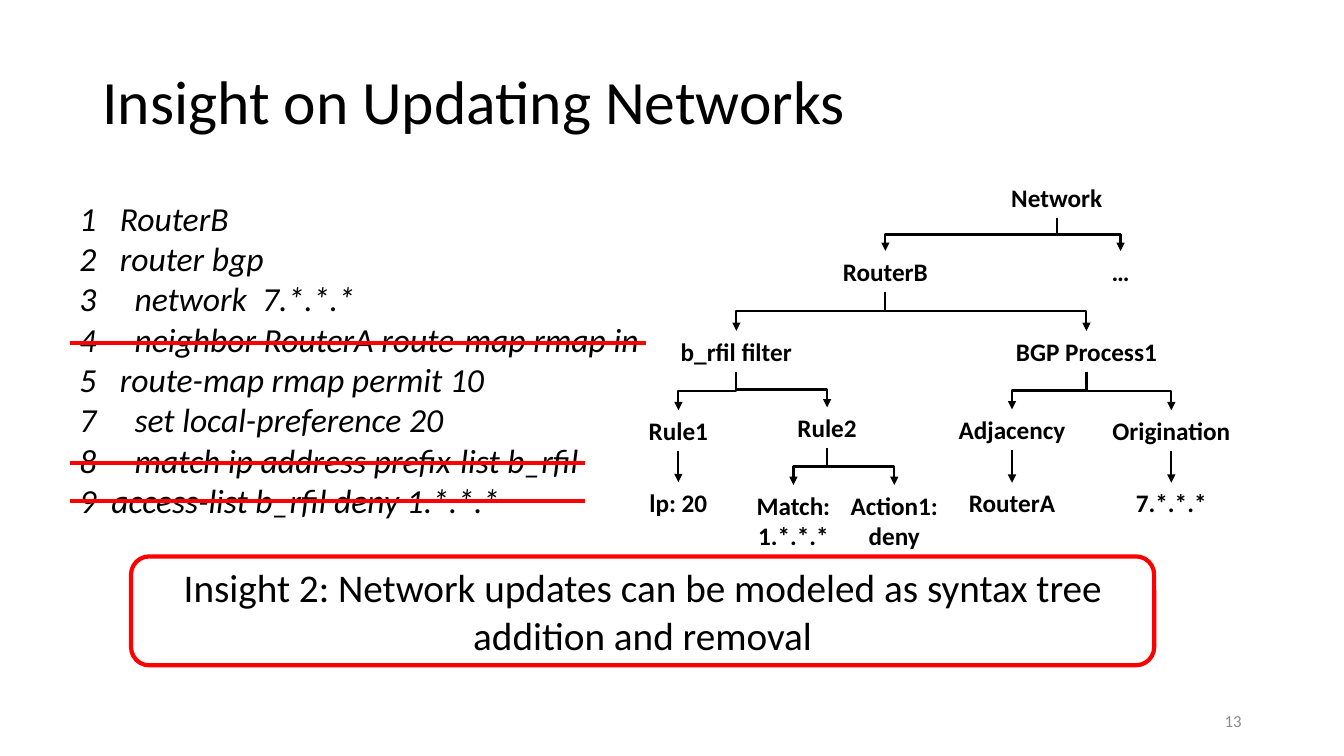
from dataclasses import dataclass

from lxml.etree import SubElement
from pptx import Presentation
from pptx.dml.color import RGBColor
from pptx.enum.shapes import MSO_CONNECTOR, MSO_SHAPE
from pptx.enum.text import MSO_ANCHOR, PP_ALIGN
from pptx.oxml.ns import qn
from pptx.util import Inches, Pt


@dataclass(frozen=True)
class Theme:
    font: str = "Calibri"
    ink: str = "000000"
    muted: str = "8C8C8C"
    accent: str = "FF0000"
    paper: str = "FFFFFF"
    title: int = 44
    insight: int = 28
    code: int = 24
    node: int = 18
    number: int = 12
    thin: float = 1.5
    thick: float = 3


class SlideBuilder:
    """Draws on one slide; all lengths are columns and rows of an 80 x 45 grid."""

    columns, rows = 80, 45

    def __init__(self, deck, theme):
        self.theme = theme
        self.page = deck.slides.add_slide(deck.slide_layouts[6])
        self.column = deck.slide_width / self.columns
        self.row = deck.slide_height / self.rows

    def across(self, columns):
        return round(columns * self.column)

    def down(self, rows):
        return round(rows * self.row)

    def area(self, left, top, width, height):
        return self.across(left), self.down(top), self.across(width), self.down(height)

    def fill_text(self, frame, lines, size, color=None, align=PP_ALIGN.LEFT,
                  anchor=MSO_ANCHOR.TOP, bold=False, italic=False):
        frame.word_wrap = True
        frame.vertical_anchor = anchor
        for index, line in enumerate(lines):
            para = frame.add_paragraph() if index else frame.paragraphs[0]
            para.text = line
            para.alignment = align
            font = para.font
            font.name, font.size = self.theme.font, Pt(size)
            font.bold, font.italic = bold, italic
            font.color.rgb = RGBColor.from_string(color or self.theme.ink)
        return frame.paragraphs

    def text(self, area, lines, size, **style):
        box = self.page.shapes.add_textbox(*self.area(*area))
        return self.fill_text(box.text_frame, lines, size, **style)

    def code(self, area, lines):
        """Numbered lines, each with its own hanging indent in columns."""
        texts = [f"{number}\t{text}" for number, _, text in lines]
        paras = self.text(area, texts, self.theme.code, italic=True)
        for para, (_, indent, _) in zip(paras, lines):
            properties = para._p.get_or_add_pPr()
            properties.set("marL", str(self.across(indent)))
            properties.set("indent", str(-self.across(indent)))

    def connector(self, kind, ends, color, width):
        line = self.page.shapes.add_connector(kind, *ends)
        line.line.color.rgb = RGBColor.from_string(color)
        line.line.width = Pt(width)
        SubElement(line._element.spPr, qn("a:effectLst"))
        return line

    def strike(self, left, right, row):
        ends = self.across(left), self.down(row), self.across(right), self.down(row)
        self.connector(MSO_CONNECTOR.STRAIGHT, ends, self.theme.accent, self.theme.thick)

    def branch(self, start, end):
        """Arrow that leaves downwards, bends half way and arrives downwards."""
        x1, y1 = self.across(start[0]), self.down(start[1])
        x2, y2 = self.across(end[0]), self.down(end[1])
        kind, ends = MSO_CONNECTOR.STRAIGHT, (x1, y1, x2, y2)
        if x1 != x2:
            # The elbow is laid out sideways around its centre, then turned.
            kind = MSO_CONNECTOR.ELBOW
            length, spread = y2 - y1, abs(x2 - x1)
            left = (x1 + x2 - length) // 2
            top = (y1 + y2 - spread) // 2
            ends = left, top, left + length, top + spread
        arrow = self.connector(kind, ends, self.theme.ink, self.theme.thin)
        if x1 != x2:
            frame = arrow._element.spPr.find(qn("a:xfrm"))
            frame.set("rot", str((90 if x2 < x1 else 270) * 60000))
            if x2 > x1:
                frame.set("flipH", "1")
        outline = arrow._element.spPr.find(qn("a:ln"))
        SubElement(outline, qn("a:tailEnd"), type="triangle")

    def callout(self, area, text):
        box = self.page.shapes.add_shape(MSO_SHAPE.ROUNDED_RECTANGLE, *self.area(*area))
        box.shadow.inherit = False
        box.fill.solid()
        box.fill.fore_color.rgb = RGBColor.from_string(self.theme.paper)
        box.line.color.rgb = RGBColor.from_string(self.theme.accent)
        box.line.width = Pt(self.theme.thick)
        self.fill_text(box.text_frame, [text], self.theme.insight,
                       align=PP_ALIGN.CENTER, anchor=MSO_ANCHOR.MIDDLE)


# Line number, hanging indent, text
CONFIG = [
    (1, 2.4, "RouterB"),
    (2, 2.4, "router bgp"),
    (3, 3.28, "network  7.*.*.*"),
    (4, 3.28, "neighbor RouterA route-map rmap in"),
    (5, 2.4, "route-map rmap permit 10"),
    (7, 3.28, "set local-preference 20"),
    (8, 3.28, "match ip address prefix-list b_rfil"),
    (9, 1.9, "access-list b_rfil deny 1.*.*.*"),
]
# Right end and row of each strike
STRIKES = [(38.46, 20.4), (34.8, 27.54), (34.8, 29.82)]
# Node: parent, centre column, top row, width, lines
TREE = {
    "network": (None, 62.9, 10.56, 9, ["Network"]),
    "router": ("network", 52.7, 14.94, 8, ["RouterB"]),
    "others": ("network", 66.7, 14.94, 8, ["…"]),
    "filter": ("router", 43.83, 19.7, 9.3, ["b_rfil filter"]),
    "process": ("router", 64.67, 19.7, 11.2, ["BGP Process1"]),
    "rule1": ("filter", 40.38, 24.42, 6.5, ["Rule1"]),
    "rule2": ("filter", 49.23, 24.25, 7.6, ["Rule2"]),
    "adjacency": ("process", 60.24, 24.37, 9, ["Adjacency"]),
    "origination": ("process", 69.72, 24.42, 10.4, ["Origination"]),
    "preference": ("rule1", 40.38, 28.7, 6.5, ["lp: 20"]),
    "match": ("rule2", 47.23, 28.87, 6.3, ["Match: 1.*.*.*"]),
    "action": ("rule2", 53.23, 28.87, 7.4, ["Action1:", "deny"]),
    "neighbor": ("adjacency", 60.24, 28.74, 7.4, ["RouterA"]),
    "prefix": ("origination", 69.72, 28.74, 7.4, ["7.*.*.*"]),
}
NODE_HEIGHT = 2.42


def main():
    deck = Presentation()
    deck.slide_width, deck.slide_height = Inches(13.33), Inches(7.5)
    theme = Theme()
    slide = SlideBuilder(deck, theme)

    # Title and slide number
    title = slide.text((5.5, 1.86, 66.9, 8.7), ["Insight on Updating Networks"],
                       theme.title, anchor=MSO_ANCHOR.MIDDLE)
    title[0].line_spacing = 0.9
    slide.text((56.5, 41.7, 18, 2.4), ["13"], theme.number, color=theme.muted,
               align=PP_ALIGN.RIGHT, anchor=MSO_ANCHOR.MIDDLE)

    # Router configuration with removed lines
    slide.code((4.14, 11.46, 41.35, 20), CONFIG)
    for right, row in STRIKES:
        slide.strike(4.14, right, row)

    # Syntax tree
    for parent, center, top, width, lines in TREE.values():
        slide.text((center - width / 2, top, width, NODE_HEIGHT), lines,
                   theme.node, bold=True, align=PP_ALIGN.CENTER)
        if parent:
            _, parent_center, parent_top, _, _ = TREE[parent]
            slide.branch((parent_center, parent_top + NODE_HEIGHT), (center, top))

    # Insight
    slide.callout((7.8, 33.12, 60.9, 6.48),
                  "Insight 2: Network updates can be modeled as syntax tree "
                  "addition and removal")
    deck.save("out.pptx")


if __name__ == "__main__":
    main()
